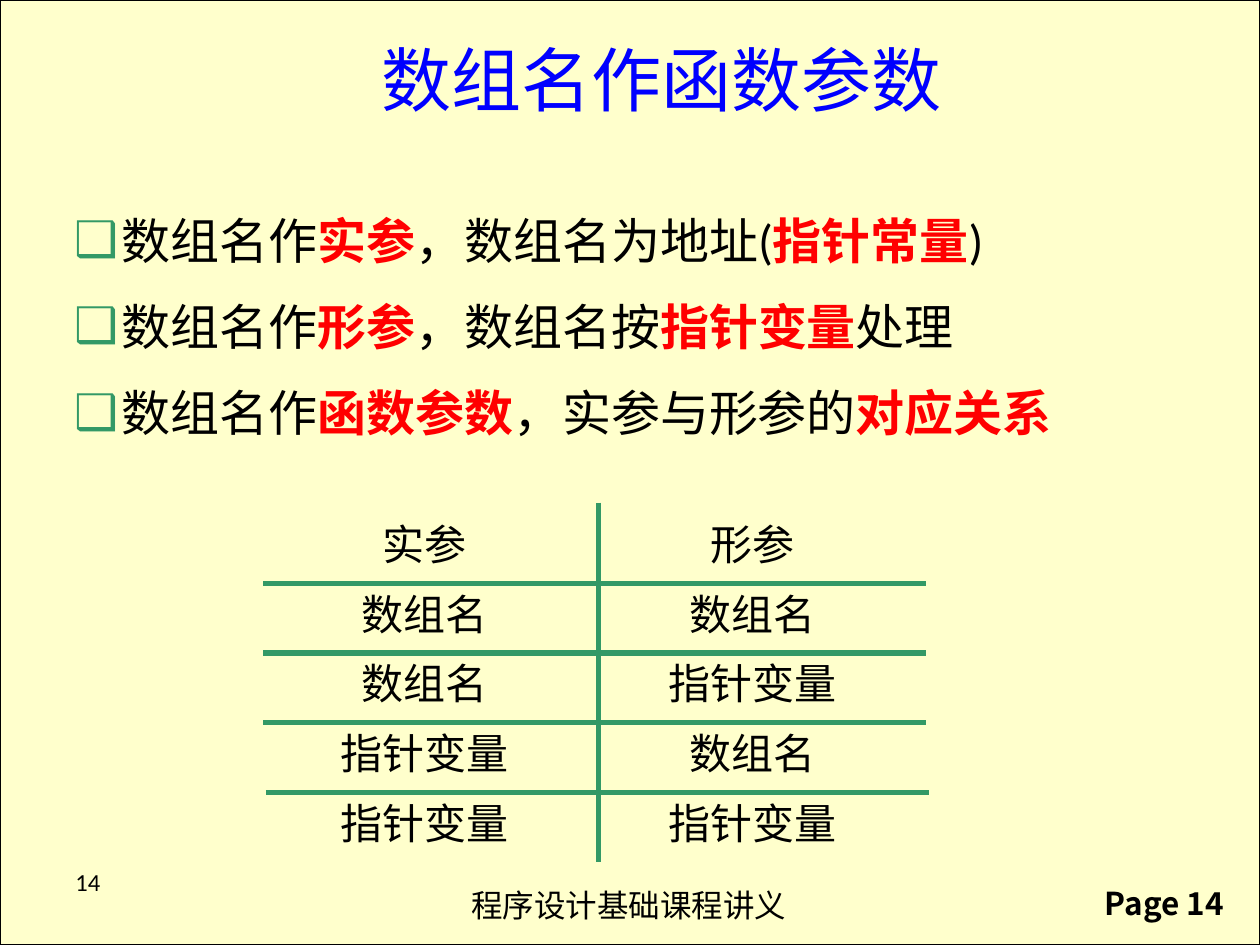
import lxml.etree
import pptx
import pptx.dml.color
import pptx.enum.shapes
import pptx.enum.text
import pptx.oxml.ns
import pptx.util

Inches = pptx.util.Inches
Pt = pptx.util.Pt
ALIGN = pptx.enum.text.PP_ALIGN
ANCHOR = pptx.enum.text.MSO_ANCHOR
WIDTH, HEIGHT = 10, 7.5

COLOURS = {"paper": "FFFFCC", "ink": "000000", "title": "0000FF",
           "key": "FF0000", "green": "339966"}

# Key terms sit at the odd places of each bullet
BULLETS = [
    ["数组名作", "实参", "，数组名为地址(", "指针常量", ")"],
    ["数组名作", "形参", "，数组名按", "指针变量", "处理"],
    ["数组名作", "函数参数", "，实参与形参的", "对应关系"],
]
PAIRS = [("实参", "形参"), ("数组名", "数组名"), ("数组名", "指针变量"),
         ("指针变量", "数组名"), ("指针变量", "指针变量")]

# Grid of the parameter pairs
GRID_LEFT, GRID_WIDTH = 2.09, 5.26
GRID_TOP, GRID_BOTTOM = 3.99, 6.84
DIVIDER = 4.75
COLUMN_CENTRES = (3.37, 5.97)
FIRST_ROW, FIRST_RULE = 4.06, 4.63
ROW_STEP = (6.29 - FIRST_RULE) / 3
CELL_HEIGHT, CHARACTER, PADDING = 0.51, 0.33, 0.21


def colour(name):
    return pptx.dml.color.RGBColor.from_string(COLOURS[name])


def add_span(para, text, size=18, font="Calibri", ink="ink", bold=False):
    span = para.add_run()
    span.text = text
    span.font.size = Pt(size)
    span.font.name = font
    span.font.bold = bold
    span.font.color.rgb = colour(ink)


def add_box(page, left, top, width, height, wrap=True, anchor=ANCHOR.TOP):
    box = page.shapes.add_textbox(*map(Inches, (left, top, width, height)))
    frame = box.text_frame
    frame.word_wrap = wrap
    frame.vertical_anchor = anchor
    if not wrap:
        frame.auto_size = pptx.enum.text.MSO_AUTO_SIZE.SHAPE_TO_FIT_TEXT
    return frame


def add_text(page, text, place, wrap=True, anchor=ANCHOR.TOP,
             align=ALIGN.LEFT, **style):
    frame = add_box(page, *place, wrap=wrap, anchor=anchor)
    para = frame.paragraphs[0]
    para.alignment = align
    add_span(para, text, **style)
    return frame


def add_rule(page, *ends):
    rule = page.shapes.add_connector(
        pptx.enum.shapes.MSO_CONNECTOR.STRAIGHT, *map(Inches, ends))
    rule.line.color.rgb = colour("green")
    rule.line.width = Pt(3)
    lxml.etree.SubElement(rule._element.spPr,
                          pptx.oxml.ns.qn("a:effectLst"))


def set_bullet(para, symbol, indent):
    qn = pptx.oxml.ns.qn
    properties = para._p.get_or_add_pPr()
    properties.set("marL", str(Inches(indent)))
    properties.set("indent", str(-Inches(indent)))
    tint = lxml.etree.SubElement(properties, qn("a:buClr"))
    lxml.etree.SubElement(tint, qn("a:srgbClr"), val=COLOURS["green"])
    lxml.etree.SubElement(properties, qn("a:buFont"), typeface="Arial")
    lxml.etree.SubElement(properties, qn("a:buChar"), char=symbol)


def add_background(page):
    paper = page.shapes.add_shape(pptx.enum.shapes.MSO_SHAPE.RECTANGLE,
                                  0, 0, Inches(WIDTH), Inches(HEIGHT))
    paper.shadow.inherit = False
    paper.fill.solid()
    paper.fill.fore_color.rgb = colour("paper")
    paper.line.color.rgb = colour("ink")
    paper.line.width = Pt(0.75)


def add_bullets(page):
    frame = add_box(page, 0.49, 1.48, 9, 2.19)
    for index, parts in enumerate(BULLETS):
        para = frame.add_paragraph() if index else frame.paragraphs[0]
        para.line_spacing = 1.3
        if index:
            para.space_before = Pt(5.6)
        set_bullet(para, "❑", 0.38)
        for place, text in enumerate(parts):
            key = place % 2 == 1
            add_span(para, text, size=28, bold=key,
                     ink="key" if key else "ink")


def add_pair_grid(page):
    add_rule(page, DIVIDER, GRID_TOP, DIVIDER, GRID_BOTTOM)
    for row, pair in enumerate(PAIRS):
        if row:
            level = FIRST_RULE + (row - 1) * ROW_STEP
            # The last rule is set slightly to the right
            left = GRID_LEFT + (0.02 if row == len(PAIRS) - 1 else 0)
            add_rule(page, left, level, left + GRID_WIDTH, level)
        for centre, text in zip(COLUMN_CENTRES, pair):
            width = len(text) * CHARACTER + PADDING
            place = (centre - width / 2, FIRST_ROW + row * ROW_STEP,
                     width, CELL_HEIGHT)
            add_text(page, text, place, wrap=False, anchor=ANCHOR.MIDDLE,
                     align=ALIGN.CENTER, size=24)


def main():
    deck = pptx.Presentation()
    deck.slide_width, deck.slide_height = Inches(WIDTH), Inches(HEIGHT)
    page = deck.slides.add_slide(deck.slide_layouts[6])
    add_background(page)

    # Footer
    add_text(page, "程序设计基础课程讲义", (3.64, 6.98, 2.73, 0.4),
             wrap=False, font="Arial")
    add_text(page, "Page 14", (8.67, 6.97, 1.28, 0.4), wrap=False,
             font="Noto Sans CJK SC", bold=True)

    add_pair_grid(page)

    # Title, raised within its box
    title = add_text(page, "数组名作函数参数", (0.75, 0.52, 9, 0.87),
                     anchor=ANCHOR.MIDDLE, align=ALIGN.CENTER,
                     size=40, ink="title")
    title.margin_bottom = Inches(0.72)

    add_bullets(page)
    add_text(page, "14", (0.5, 6.83, 2.33, 0.52), size=14)
    deck.save("out.pptx")


if __name__ == "__main__":
    main()
